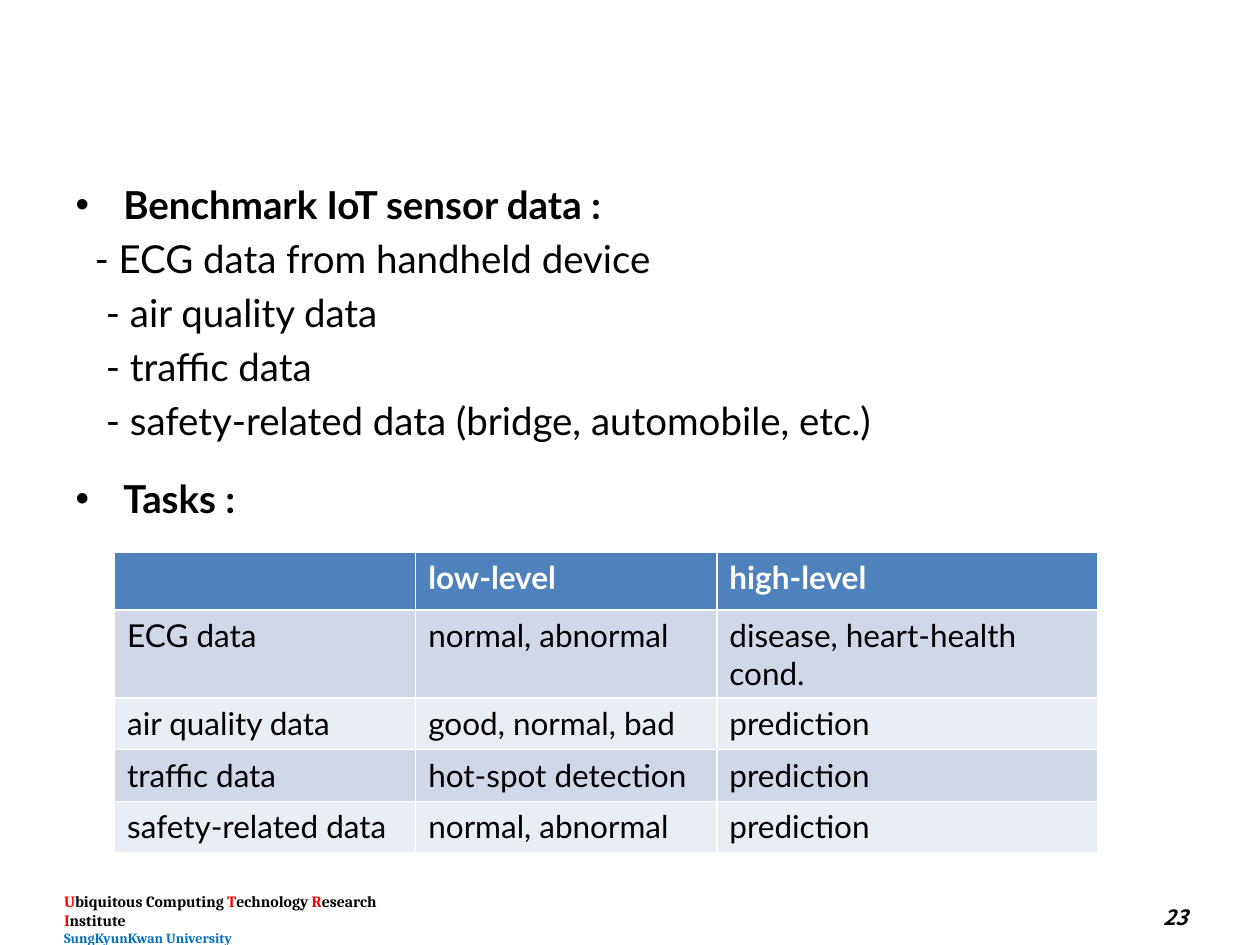
"""Build the slide on benchmark IoT sensor data and its tasks."""
from lxml.etree import SubElement
from pptx import Presentation
from pptx.dml.color import RGBColor
from pptx.enum.text import MSO_ANCHOR, PP_ALIGN
from pptx.oxml.ns import qn
from pptx.util import Inches, Pt

COLORS = {
    "text": "000000", "initial": "FF0000", "university": "0070C0", "white": "FFFFFF",
    "header": "4F81BD", "odd": "D0D8E8", "even": "E9EDF4",
}
BODY_FONT, FOOTER_FONT, NUMBER_FONT = "Lato", "Cambria", "Noto Sans CJK KR"

# text, bulleted heading, left margin in inches, space before in points
OUTLINE = [
    ("Benchmark IoT sensor data :", True, 0.38, 0),
    ("- ECG data from handheld device", False, 0.15, 4.4),
    ("- air quality data", False, 0.24, 4.4),
    ("- traffic data", False, 0.24, 4.4),
    ("- safety-related data (bridge, automobile, etc.)", False, 0.24, 4.4),
    ("Tasks :", True, 0.38, 18.2),
]
TASKS = [
    ("", "low-level", "high-level"),
    ("ECG data", "normal, abnormal", "disease, heart-health cond."),
    ("air quality data", "good, normal, bad", "prediction"),
    ("traffic data", "hot-spot detection", "prediction"),
    ("safety-related data", "normal, abnormal", "prediction"),
]
COLUMN_WIDTHS = (2.39, 2.39, 3.02)
HEADER_HEIGHT, ROW_HEIGHT = 0.46, 0.41
INSTITUTE = [
    ("U", "initial"), ("biquitous Computing ", "text"), ("T", "initial"),
    ("echnology ", "text"), ("R", "initial"), ("esearch ", "text"),
    ("I", "initial"), ("nstitute", "text"),
]
UNIVERSITY = "SungKyunKwan University"
PAGE_NUMBER = "23"


def add_text(para, text, *, size, font=BODY_FONT, color="text", bold=False, italic=False):
    span = para.add_run()
    span.text = text
    span.font.size = Pt(size)
    span.font.name = font
    span.font.bold = bold
    span.font.italic = italic
    span.font.color.rgb = RGBColor.from_string(COLORS[color])


def add_box(page, left, top, width, height):
    box = page.shapes.add_textbox(*map(Inches, (left, top, width, height)))
    box.text_frame.word_wrap = True
    box.text_frame.vertical_anchor = MSO_ANCHOR.MIDDLE
    return box.text_frame


def add_outline(page):
    body = page.placeholders[1]
    body.left, body.top, body.width, body.height = map(Inches, (0.5, 1.39, 9, 5.31))
    frame = body.text_frame
    for index, (text, heading, margin, before) in enumerate(OUTLINE):
        para = frame.add_paragraph() if index else frame.paragraphs[0]
        para.space_before = Pt(before)
        properties = para._p.get_or_add_pPr()
        properties.set("marL", str(Inches(margin)))
        properties.set("indent", str(Inches(-margin if heading else 0)))
        if heading:
            SubElement(properties, qn("a:buChar")).set("char", "•")
        else:
            SubElement(properties, qn("a:buNone"))
        add_text(para, text, size=22, bold=heading)


def add_tasks(page):
    heights = [HEADER_HEIGHT] + [ROW_HEIGHT] * (len(TASKS) - 1)
    table = page.shapes.add_table(
        len(TASKS), len(COLUMN_WIDTHS), Inches(0.91), Inches(4.38),
        Inches(sum(COLUMN_WIDTHS)), Inches(sum(heights))).table
    for column, width in zip(table.columns, COLUMN_WIDTHS):
        column.width = Inches(width)
    for index, (values, height) in enumerate(zip(TASKS, heights)):
        table.rows[index].height = Inches(height)
        header = index == 0
        fill = "header" if header else ("even", "odd")[index % 2]
        for cell, value in zip(table.rows[index].cells, values):
            cell.fill.solid()
            cell.fill.fore_color.rgb = RGBColor.from_string(COLORS[fill])
            if value:
                add_text(cell.text_frame.paragraphs[0], value, size=18,
                         color="white" if header else "text", bold=header)


def add_footer(page):
    frame = add_box(page, 0.41, 7.06, 3.09, 0.47)
    for text, color in INSTITUTE:
        add_text(frame.paragraphs[0], text, size=9, font=FOOTER_FONT, color=color, bold=True)
    add_text(frame.add_paragraph(), UNIVERSITY, size=8, font=FOOTER_FONT,
             color="university", bold=True)
    number = add_box(page, 7.2, 7.11, 2.33, 0.34).paragraphs[0]
    number.alignment = PP_ALIGN.RIGHT
    add_text(number, PAGE_NUMBER, size=12, font=NUMBER_FONT, bold=True, italic=True)


def main():
    deck = Presentation()
    deck.slide_width, deck.slide_height = Inches(10), Inches(7.5)
    page = deck.slides.add_slide(deck.slide_layouts[1])
    title = page.shapes.title.element
    title.getparent().remove(title)
    add_outline(page)
    add_footer(page)
    add_tasks(page)
    deck.save("out.pptx")


if __name__ == "__main__":
    main()
